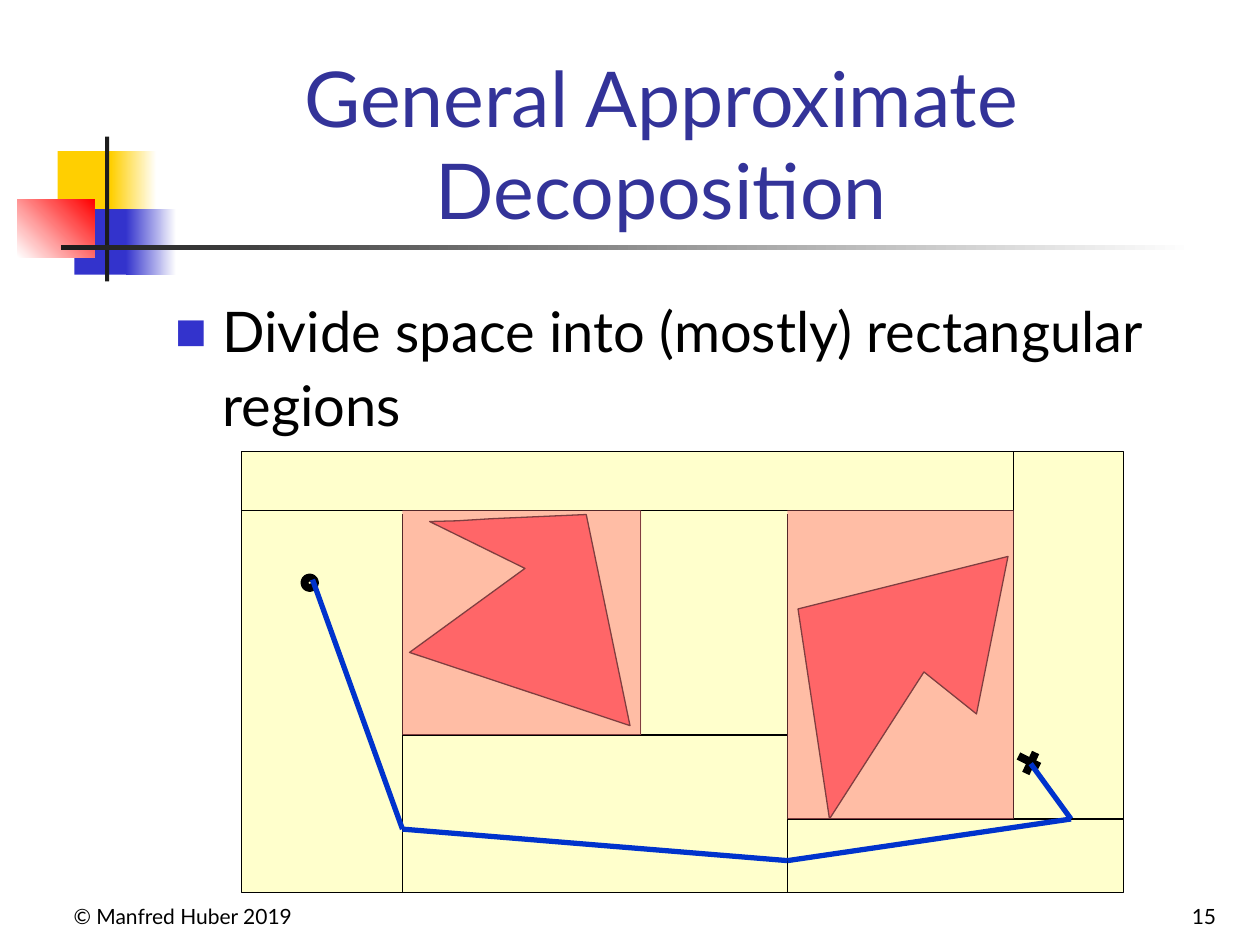
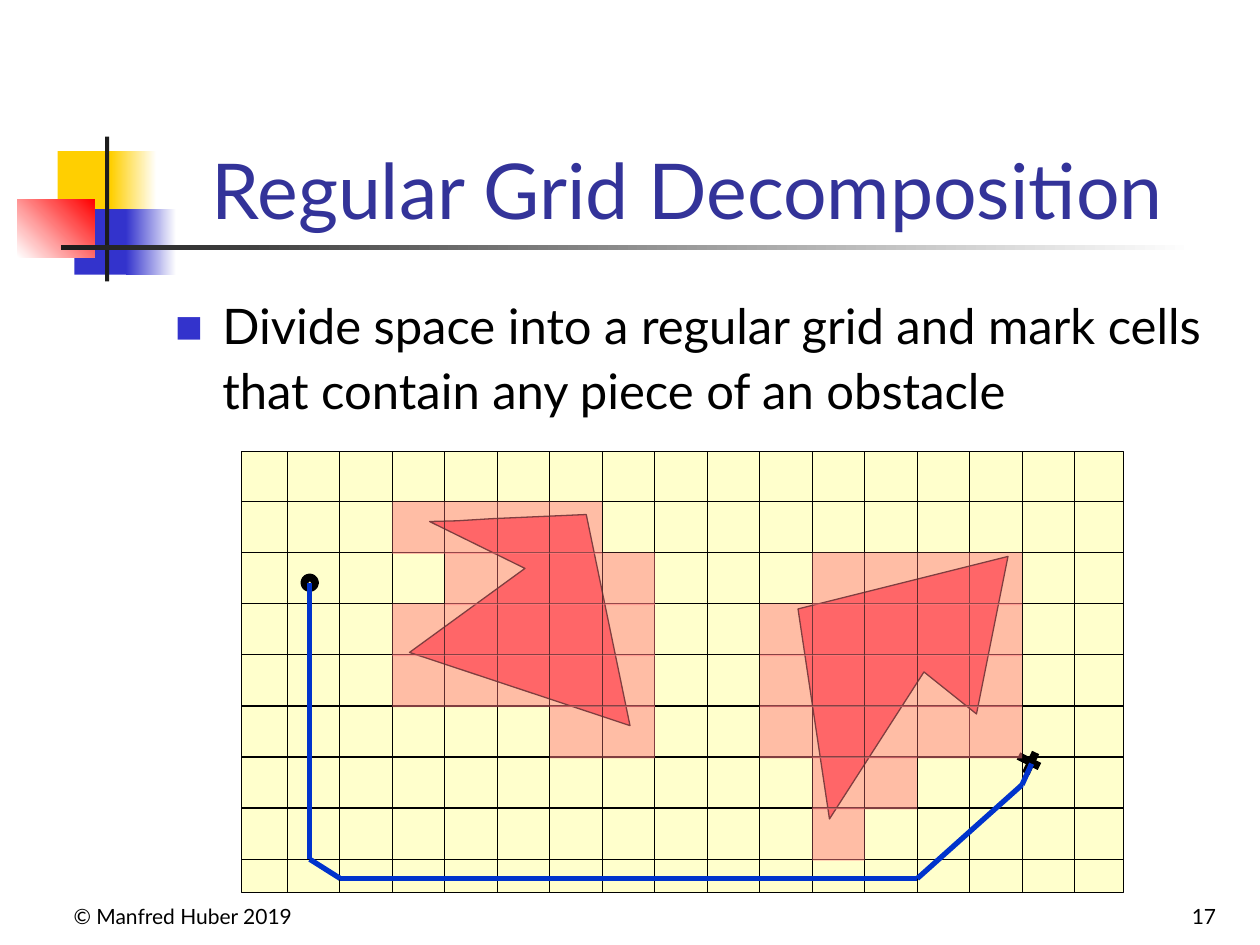
from lxml import etree
from pptx import Presentation
from pptx.dml.color import RGBColor
from pptx.enum import shapes, text
from pptx.oxml import ns
from pptx.util import Pt

FONT = "Lato"
INK, TITLE, BULLET = "000000", "333399", "3333CC"
FREE, SOLID, BLOCKED, ROUTE = "FFFFCC", "FF5050", "FF7C80", "0033CC"

# left, top, width, height, colours (two make a gradient), angle
BADGE = [
    (33, 86.4, 34.6, 37.4, ["FFCF01"], 0),
    (63.4, 86.4, 26, 37.4, ["FFCF01", "FFFFFF"], 0),
    (42.5, 119.5, 33.1, 37.4, ["3333CC"], 0),
    (72, 119.5, 28.8, 37.4, ["3333CC", "FFFFFF"], 0),
    (10, 113.8, 44, 33.1, ["FFFFFF", "FF0000"], 45),
    (60, 78, 2.4, 82.8, ["1C1C1C"], 0),
    (34.6, 140.2, 648, 2.4, ["1C1C1C", "FFFFFF"], 0),
]
CREDIT = "© Manfred Huber 2019"

FIELD = (138, 258, 504, 252)
LEFT, TOP, RIGHT, BASE = 138, 258, 642, 510
SOLIDS = [
    [(335, 294), (281, 296.4), (261, 297.6), (245.5, 298),
     (300, 324.8), (234, 372.8), (360, 414.6)],
    [(456, 348), (474, 468), (528, 384), (558, 408), (576, 318)],
]
START = (174, 330, 6, 6)
GOAL = [(582, 432, 594, 438), (586.2, 442, 591.8, 430)]

# Rectangular regions
WALLS = [
    (LEFT, 291.6, 579, 291.6), (230, 294, 230, BASE), (450, 294, 450, BASE),
    (366, 291.6, 366, 420), (230, 420, 450, 420), (450, 468, RIGHT, 468),
    (579, TOP, 579, 468),
]
BOXES = [(230, 291.6, 136.4, 128.4), (450, 291.6, 129.2, 176.4)]

# Regular grid: blocked columns in each row
GRID_X, GRID_Y, STEP_X, STEP_Y, CELL = 164.2, 286.6, 30, 29.2, 30
COLS, ROWS = 16, 8
MARKS = [
    [2, 3, 4, 5],
    [3, 4, 5, 6, 10, 11, 12, 13],
    [2, 3, 4, 5, 6, 9, 10, 11, 12, 13],
    [2, 3, 4, 5, 6, 9, 10, 11, 12, 13],
    [5, 6, 9, 10, 11, 12, 13],
    [10, 11],
    [10],
]
XS = [GRID_X + STEP_X * col for col in range(COLS)]
YS = [GRID_Y + STEP_Y * row for row in range(ROWS)]
GRID = [(x, TOP, x, BASE) for x in XS] + [(LEFT, y, RIGHT, y) for y in YS]
CELLS = [(XS[col], YS[row], CELL, CELL)
         for row, cols in enumerate(MARKS) for col in cols]

SLIDES = [
    dict(title="General Approximate Decoposition", width=552, page="15",
         point="Divide space into (mostly) rectangular regions", size=32, gap=8,
         lines=WALLS, blocks=BOXES,
         route=[(178.6, 331.2), (230, 473.8), (450, 491.8), (612, 468),
                (589, 436.4)]),
    dict(title="Regular Grid Decomposition", width=582, page="17",
         point="Divide space into a regular grid and mark cells "
               "that contain any piece of an obstacle", size=28, gap=7,
         lines=GRID, blocks=CELLS,
         route=[(177, 333.4), (177, 491), (194.4, 502), (524.2, 502),
                (584, 448.5), (589.5, 436.4)]),
]


def hue(code):
    return RGBColor.from_string(code)


def paint(shape, fill, edge=None, weight=0.75):
    shape.shadow.inherit = False
    shape.fill.solid()
    shape.fill.fore_color.rgb = hue(fill)
    if edge:
        shape.line.color.rgb = hue(edge)
        shape.line.width = Pt(weight)
    else:
        shape.line.fill.background()
    return shape


def add_box(slide, box, fill, edge=None, weight=0.75, oval=False):
    kind = shapes.MSO_SHAPE.OVAL if oval else shapes.MSO_SHAPE.RECTANGLE
    shape = slide.shapes.add_shape(kind, *map(Pt, box))
    return paint(shape, fill, edge, weight)


def add_line(slide, ends, color=INK, weight=0.75):
    line = slide.shapes.add_connector(shapes.MSO_CONNECTOR.STRAIGHT,
                                      *map(Pt, ends))
    line.line.color.rgb = hue(color)
    line.line.width = Pt(weight)
    etree.SubElement(line._element.spPr, ns.qn("a:effectLst"))


def add_text(slide, box, words, size, color=INK, align=None, base=True):
    frame = slide.shapes.add_textbox(*map(Pt, box)).text_frame
    frame.word_wrap = True
    if base:
        frame.vertical_anchor = text.MSO_ANCHOR.BOTTOM
    frame.text = words
    para = frame.paragraphs[0]
    para.alignment = align
    font = para.runs[0].font
    font.name, font.size, font.color.rgb = FONT, Pt(size), hue(color)
    return para


def add_bullet(para):
    props = para._p.get_or_add_pPr()
    props.set("marL", str(Pt(27)))
    props.set("indent", str(-Pt(27)))
    tint = etree.SubElement(props, ns.qn("a:buClr"))
    etree.SubElement(tint, ns.qn("a:srgbClr"), val=BULLET)
    etree.SubElement(props, ns.qn("a:buSzPct"), val="60000")
    etree.SubElement(props, ns.qn("a:buFont"), typeface=FONT)
    etree.SubElement(props, ns.qn("a:buChar"), char="■")


def add_frame(slide, data):
    """Draw the badge, footers, title and bullet point."""
    for *box, colors, angle in BADGE:
        shape = add_box(slide, box, colors[0])
        if len(colors) > 1:
            shape.fill.gradient()
            shape.fill.gradient_angle = angle
            for stop, color in zip(shape.fill.gradient_stops, colors):
                stop.color.rgb = hue(color)
    align = text.PP_ALIGN
    add_text(slide, (24, 498, 150, 36), CREDIT, 12, align=align.RIGHT)
    add_text(slide, (534, 498, 168, 36), data["page"], 12, align=align.RIGHT)
    add_text(slide, (102, 48, data["width"], 90), data["title"], 44, TITLE,
             align.CENTER)
    para = add_text(slide, (93, 162, 612, 108), data["point"], data["size"],
                    base=False)
    para.line_spacing = 1.1
    para.space_before = Pt(data["gap"])
    add_bullet(para)


def add_map(slide, data):
    add_box(slide, FIELD, FREE, INK)
    for first, *rest in SOLIDS:
        pen = slide.shapes.build_freeform(*map(Pt, first))
        pen.add_line_segments([(Pt(x), Pt(y)) for x, y in rest])
        paint(pen.convert_to_shape(), SOLID, INK)
    add_box(slide, START, FREE, INK, 4.5, oval=True)
    for ends in GOAL:
        add_line(slide, ends, weight=4.5)
    for ends in data["lines"]:
        add_line(slide, ends)
    for box in data["blocks"]:
        block = add_box(slide, box, BLOCKED)
        tint = block._element.spPr.find(".//" + ns.qn("a:srgbClr"))
        etree.SubElement(tint, ns.qn("a:alpha"), val="50000")
    for start, end in zip(data["route"], data["route"][1:]):
        add_line(slide, start + end, ROUTE, 3)


def main():
    deck = Presentation()
    deck.slide_width, deck.slide_height = Pt(720), Pt(540)
    for data in SLIDES:
        slide = deck.slides.add_slide(deck.slide_layouts[6])
        add_frame(slide, data)
        add_map(slide, data)
    deck.save("out.pptx")


if __name__ == "__main__":
    main()
